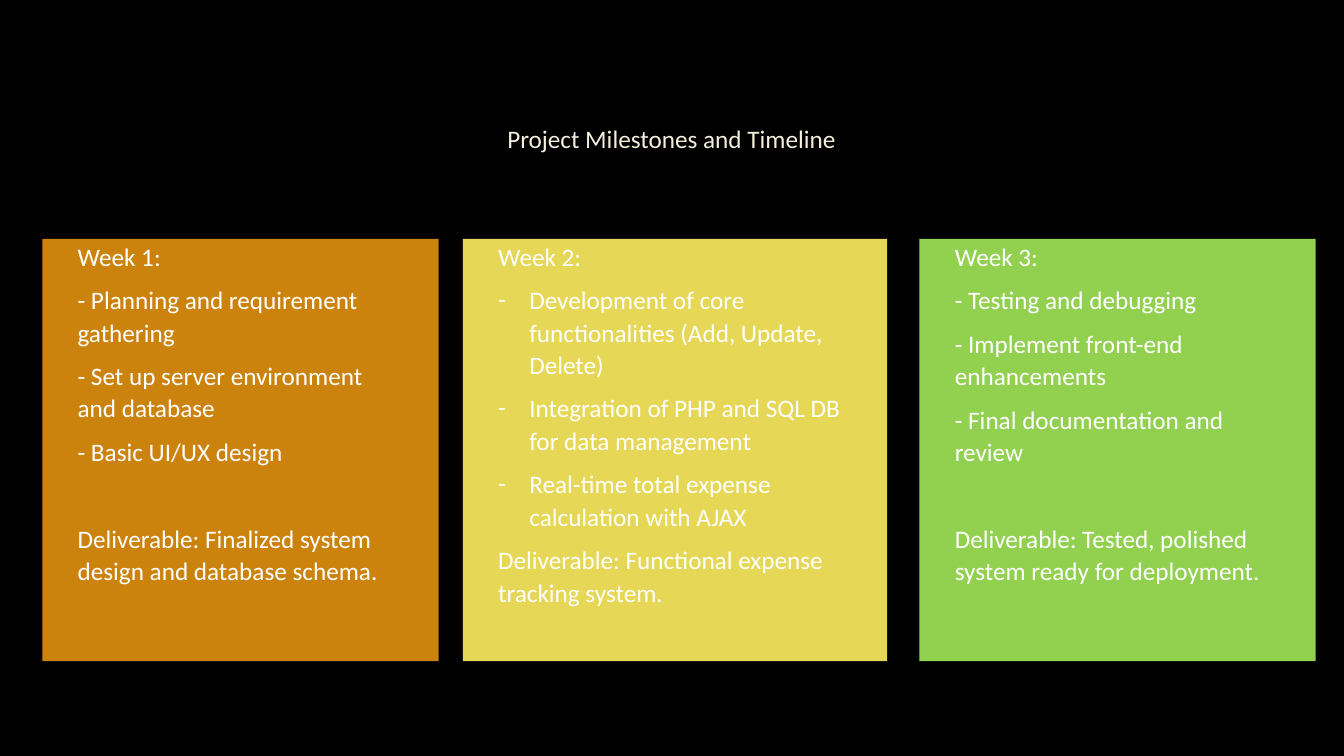
from lxml import etree
from pptx import Presentation
from pptx import util as u
from pptx.dml.color import RGBColor
from pptx.enum import shapes, text
from pptx.oxml.ns import qn

BLACK = RGBColor(0x00, 0x00, 0x00)
WHITE = RGBColor(0xFF, 0xFF, 0xFF)
CREAM = RGBColor(0xF4, 0xEE, 0xDC)
ORANGE = RGBColor(0xCC, 0x83, 0x0E)
YELLOW = RGBColor(0xE6, 0xD7, 0x56)
GREEN = RGBColor(0x92, 0xD0, 0x50)
OUTLINE = "404040"

TITLE = "Project Milestones and Timeline"
TITLE_BOX = (1, 0.67, 11.32, 1.38)
CARD_TOP, CARD_HEIGHT = 2.37, 4.19
HANGING_INDENT = 0.31

WEEKS = [
    dict(left=0.42, width=3.93, color=ORANGE, heading="Week 1:", bulleted=False, gap=31,
         tasks=["Planning and requirement gathering",
                "Set up server environment and database",
                "Basic UI/UX design"],
         deliverable="Deliverable: Finalized system design and database schema."),
    dict(left=4.59, width=4.21, color=YELLOW, heading="Week 2:", bulleted=True, gap=0,
         tasks=["Development of core functionalities (Add, Update, Delete)",
                "Integration of PHP and SQL DB for data management",
                "Real-time total expense calculation with AJAX"],
         deliverable="Deliverable: Functional expense tracking system."),
    dict(left=9.12, width=3.93, color=GREEN, heading="Week 3:", bulleted=False, gap=31,
         tasks=["Testing and debugging",
                "Implement front-end enhancements",
                "Final documentation and review"],
         deliverable="Deliverable: Tested, polished system ready for deployment."),
]

CARD_FRAME = dict(word_wrap=True, vertical_anchor=text.MSO_ANCHOR.TOP,
                  margin_left=u.Inches(0.35), margin_right=u.Inches(0.35),
                  margin_top=0, margin_bottom=u.Inches(0.36))
PARAGRAPH = dict(line_spacing=1.07, space_after=u.Pt(8))
FONT = dict(name="Calibri", size=u.Pt(18))


def apply(target, values):
    for name, value in values.items():
        setattr(target, name, value)


def write(paragraph, words, color, align, space_before=0):
    apply(paragraph, dict(PARAGRAPH, alignment=align, space_before=u.Pt(space_before)))
    run = paragraph.add_run()
    run.text = words
    apply(run.font, FONT)
    run.font.color.rgb = color
    return run


def add_dash_bullet(paragraph):
    properties = paragraph._p.get_or_add_pPr()
    indent = u.Inches(HANGING_INDENT)
    properties.set("marL", str(indent))
    properties.set("indent", str(-indent))
    etree.SubElement(properties, qn("a:buFont"), typeface="Calibri")
    etree.SubElement(properties, qn("a:buChar"), char="-")


def outline_text(run):
    """Give the letters a thin, nearly transparent outline."""
    line = etree.Element(qn("a:ln"), w=str(u.Pt(0.75)))
    fill = etree.SubElement(line, qn("a:solidFill"))
    color = etree.SubElement(fill, qn("a:srgbClr"), val=OUTLINE)
    etree.SubElement(color, qn("a:alpha"), val="10000")
    run.font._element.insert(0, line)


def add_title(slide):
    title = slide.shapes.title
    apply(title, dict(zip(("left", "top", "width", "height"), map(u.Inches, TITLE_BOX))))
    apply(title.text_frame, dict(word_wrap=True, vertical_anchor=text.MSO_ANCHOR.MIDDLE))
    run = write(title.text_frame.paragraphs[0], TITLE, CREAM, text.PP_ALIGN.CENTER)
    outline_text(run)


def add_card(slide, week):
    box = (week["left"], CARD_TOP, week["width"], CARD_HEIGHT)
    card = slide.shapes.add_shape(shapes.MSO_SHAPE.RECTANGLE, *map(u.Inches, box))
    card.shadow.inherit = False
    card.fill.solid()
    card.fill.fore_color.rgb = week["color"]
    card.line.fill.background()
    frame = card.text_frame
    apply(frame, CARD_FRAME)
    left = text.PP_ALIGN.LEFT
    write(frame.paragraphs[0], week["heading"], WHITE, left)
    for task in week["tasks"]:
        paragraph = frame.add_paragraph()
        write(paragraph, task if week["bulleted"] else f"- {task}", WHITE, left)
        if week["bulleted"]:
            add_dash_bullet(paragraph)
    write(frame.add_paragraph(), week["deliverable"], WHITE, left, week["gap"])


def main():
    presentation = Presentation()
    presentation.slide_width = u.Inches(13.33)
    presentation.slide_height = u.Inches(7.5)
    slide = presentation.slides.add_slide(presentation.slide_layouts[5])
    slide.background.fill.solid()
    slide.background.fill.fore_color.rgb = BLACK
    add_title(slide)
    for week in WEEKS:
        add_card(slide, week)
    presentation.save("out.pptx")


if __name__ == "__main__":
    main()
